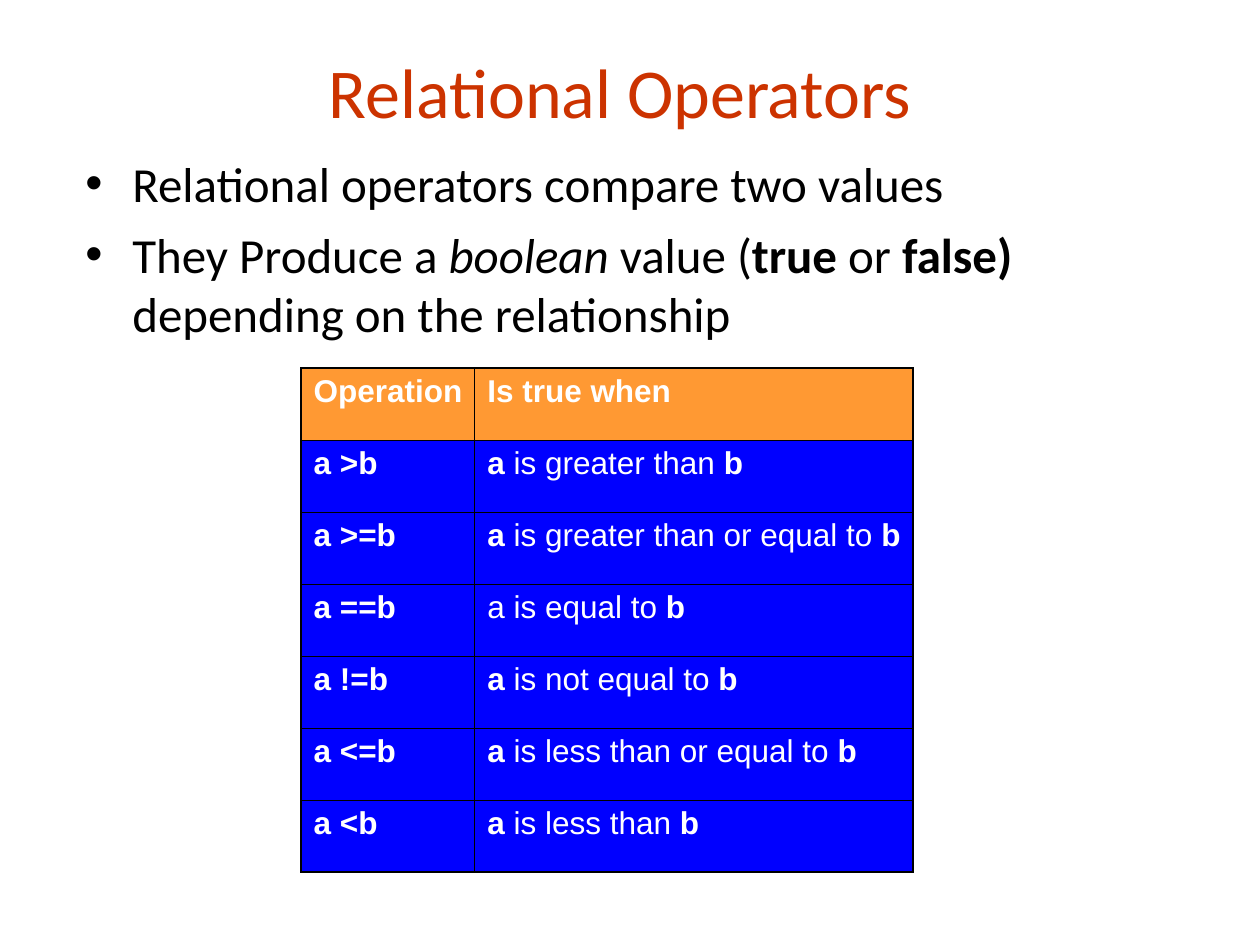
from dataclasses import dataclass

from lxml import etree
from pptx import Presentation
from pptx.dml.color import RGBColor
from pptx.enum import text
from pptx.oxml import ns
from pptx.util import Cm, Pt


@dataclass(frozen=True)
class Theme:
    title: str = "CC3300"
    body: str = "000000"
    cell_text: str = "FFFFFF"
    header_fill: str = "FF9933"
    row_fill: str = "0000FF"
    border: str = "000000"
    text_font: str = "Calibri"
    table_font: str = "Arial"
    title_size: int = 40
    body_size: int = 28
    table_size: int = 18
    outer_line: float = 1.08
    inner_line: float = 0.45


THEME = Theme()
BULLETS = [
    [("Relational operators compare two values", "")],
    [("They Produce a ", ""), ("boolean", "i"), (" value (", ""), ("true ", "b"),
     ("or ", ""), ("false) ", "b"), ("depending on the relationship", "")],
]
HEADER = ("Operation", "Is true when")
# operation, style of the leading "a", relation
OPERATIONS = [
    (">", "b", "is greater than "),
    (">=", "b", "is greater than or equal to "),
    ("==", "", "is equal to "),
    ("!=", "b", "is not equal to "),
    ("<=", "b", "is less than or equal to "),
    ("<", "b", "is less than "),
]


def fill_paragraph(paragraph, runs, font, size, color):
    """Write (text, style) runs, where style is "b", "i" or empty."""
    paragraph.font.name = font
    paragraph.font.size = Pt(size)
    paragraph.font.color.rgb = RGBColor.from_string(color)
    for words, style in runs:
        run = paragraph.add_run()
        run.text = words
        if style == "b":
            run.font.bold = True
        elif style == "i":
            run.font.italic = True


def add_text_frame(slide, box):
    frame = slide.shapes.add_textbox(*box).text_frame
    frame.word_wrap = True
    return frame


def add_title(slide, box):
    frame = add_text_frame(slide, box)
    frame.vertical_anchor = text.MSO_ANCHOR.MIDDLE
    paragraph = frame.paragraphs[0]
    paragraph.alignment = text.PP_ALIGN.CENTER
    fill_paragraph(paragraph, [("Relational Operators", "")],
                   THEME.text_font, THEME.title_size, THEME.title)


def set_bullet(paragraph, indent):
    properties = paragraph._p.get_or_add_pPr()
    properties.set("marL", str(indent))
    properties.set("indent", str(-indent))
    bullet_font = etree.Element(ns.qn("a:buFont"), typeface="Arial")
    bullet = etree.Element(ns.qn("a:buChar"), char="•")
    defaults = properties.find(ns.qn("a:defRPr"))
    defaults.addprevious(bullet_font)
    defaults.addprevious(bullet)


def add_bullets(slide, box):
    frame = add_text_frame(slide, box)
    for index, runs in enumerate(BULLETS):
        paragraph = frame.add_paragraph() if index else frame.paragraphs[0]
        paragraph.space_before = Pt(7)
        fill_paragraph(paragraph, runs, THEME.text_font, THEME.body_size, THEME.body)
        set_bullet(paragraph, Cm(0.95))


def set_borders(cell, outer_sides):
    """Draw all four sides, heavier where the cell meets the table's edge."""
    properties = cell._tc.get_or_add_tcPr()
    for side in "LRTB":
        width = THEME.outer_line if side in outer_sides else THEME.inner_line
        line = etree.SubElement(properties, ns.qn(f"a:ln{side}"), w=str(Pt(width)))
        solid = etree.SubElement(line, ns.qn("a:solidFill"))
        etree.SubElement(solid, ns.qn("a:srgbClr"), val=THEME.border)


def add_operator_table(slide, box):
    rows = [[[(heading, "b")] for heading in HEADER]]
    for operator, style, relation in OPERATIONS:
        rows.append([[(f"a {operator}b", "b")],
                     [("a ", style), (relation, ""), ("b", "b")]])
    left, top, width, height = box
    table = slide.shapes.add_table(len(rows), len(HEADER), *box).table
    table.columns[0].width = Cm(3.5)
    table.columns[1].width = width - Cm(3.5)
    for row_index, row in enumerate(rows):
        table.rows[row_index].height = height // len(rows)
        for column_index, runs in enumerate(row):
            cell = table.cell(row_index, column_index)
            cell.margin_right = Cm(0.2)
            outer_sides = "LR"[column_index]
            if row_index == 0:
                outer_sides += "T"
            if row_index == len(rows) - 1:
                outer_sides += "B"
            set_borders(cell, outer_sides)
            cell.fill.solid()
            cell.fill.fore_color.rgb = RGBColor.from_string(
                THEME.row_fill if row_index else THEME.header_fill)
            paragraph = cell.text_frame.paragraphs[0]
            fill_paragraph(paragraph, runs, THEME.table_font, THEME.table_size,
                           THEME.cell_text)
            for run in paragraph.runs:
                run.font.bold = bool(run.font.bold)


def main():
    presentation = Presentation()
    presentation.slide_width, presentation.slide_height = Cm(25.4), Cm(19.05)
    slide = presentation.slides.add_slide(presentation.slide_layouts[6])
    add_title(slide, (Cm(1.7), Cm(1), Cm(21.6), Cm(1.65)))
    add_bullets(slide, (Cm(1.47), Cm(2.97), Cm(21.6), Cm(7)))
    add_operator_table(slide, (Cm(6.07), Cm(7.42), Cm(12.34), Cm(10.16)))
    presentation.save("out.pptx")


if __name__ == "__main__":
    main()
